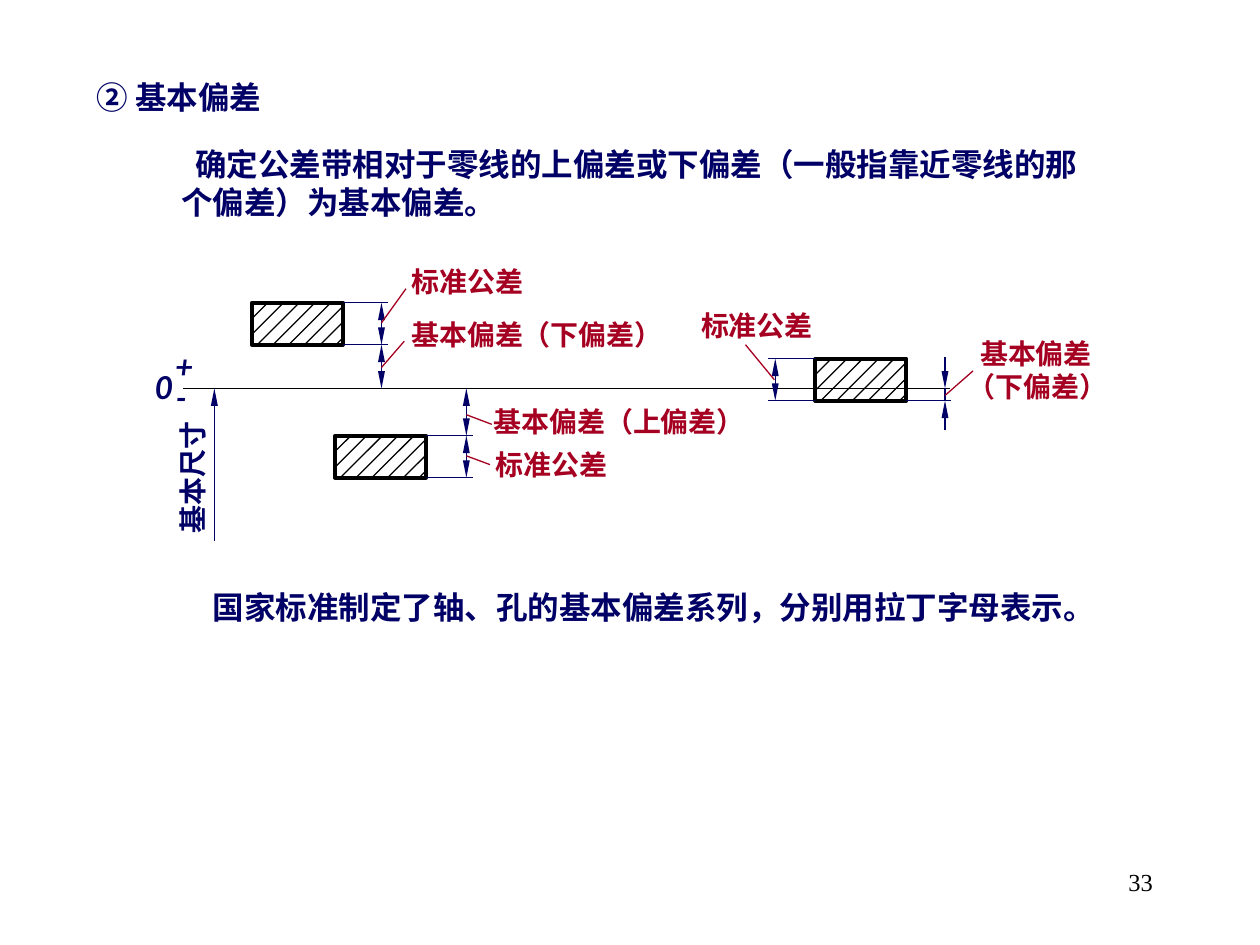
from pptx import Presentation
from pptx.dml.color import RGBColor
from pptx.enum.shapes import MSO_CONNECTOR, MSO_SHAPE
from pptx.enum.text import MSO_AUTO_SIZE, PP_ALIGN
from pptx.oxml.ns import qn
from pptx.util import Pt
from lxml.etree import SubElement

NAVY, RED, BLACK = "000066", "A50021", "000000"
HAN = "Noto Sans CJK SC"
WIDE, HIGH, STEP = 52, 24, 9  # tolerance zone and its hatch pitch
ZERO = 222  # height of the zero line

BODY = dict(name=HAN, size=Pt(18), bold=True)
SIGN = dict(name="Lato", size=Pt(18), bold=True, italic=True)
SIZE = dict(name="Lato", size=Pt(16), bold=True)
LABEL = dict(name="Arial", size=Pt(16), bold=True)
PAGE = dict(name="Times New Roman", size=Pt(14))


def paint(color):
    return RGBColor.from_string(color)


def add_text(slide, text, box, form, color=NAVY, indent=0, align=PP_ALIGN.LEFT):
    """Add a text box; indent moves the first line of its first paragraph."""
    shape = slide.shapes.add_textbox(*map(Pt, box))
    frame = shape.text_frame
    frame.word_wrap = True
    frame.auto_size = MSO_AUTO_SIZE.NONE
    frame.text = text
    for para in frame.paragraphs:
        para.alignment = align
        for run in para.runs:
            for key, value in form.items():
                setattr(run.font, key, value)
            run.font.color.rgb = paint(color)
            SubElement(run.font._element, qn("a:ea"), typeface=HAN)
    if indent:
        frame.paragraphs[0]._p.get_or_add_pPr().set("indent", str(Pt(indent)))
    return shape


def add_line(slide, start, end, color=NAVY, heads=()):
    """Add a thin line; heads names its arrow ends, headEnd before tailEnd."""
    line = slide.shapes.add_connector(
        MSO_CONNECTOR.STRAIGHT, *map(Pt, (*start, *end)))
    line.line.width = Pt(0.75)
    line.line.color.rgb = paint(color)
    for head in heads:
        SubElement(line.line._get_or_add_ln(), qn("a:" + head),
                   type="triangle", w="sm", len="lg")
    SubElement(line._element.spPr, qn("a:effectLst"))


def add_span(slide, x, top, foot):
    add_line(slide, (x, top), (x, foot), heads=("headEnd", "tailEnd"))


def add_zone(slide, left, top):
    """Add a hatched tolerance zone."""
    rect = slide.shapes.add_shape(
        MSO_SHAPE.RECTANGLE, *map(Pt, (left, top, WIDE, HIGH)))
    rect.shadow.inherit = False
    rect.fill.background()
    rect.line.width = Pt(2.25)
    rect.line.color.rgb = paint(BLACK)
    for total in range(STEP, WIDE + HIGH, STEP):
        right, foot = min(total, WIDE), min(total, HIGH)
        add_line(slide, (left + right, top + total - right),
                 (left + total - foot, top + foot), BLACK)


def add_edges(slide, start, end, top):
    """Extend both horizontal edges of a zone."""
    for y in (top, top + HIGH):
        add_line(slide, (start, y), (end, y))


def main():
    deck = Presentation()
    deck.slide_width, deck.slide_height = Pt(720), Pt(540)
    slide = deck.slides.add_slide(deck.slide_layouts[6])

    add_text(slide, "② 基本偏差", (48, 41, 178, 29), BODY)
    add_text(slide, "确定公差带相对于零线的上偏差或下偏差（一般指靠近零线的那个偏差）为基本偏差。",
             (96.5, 79.5, 542, 50), BODY, indent=8)

    add_line(slide, (104.5, ZERO), (543, ZERO), BLACK)
    for sign, left, top in (("+", 93, 195), ("-", 93.5, 212.5), ("0", 81.5, 207)):
        add_text(slide, sign, (left, top, 56, 29), SIGN)
    add_line(slide, (122.5, 309), (122.5, ZERO), heads=("tailEnd",))
    add_text(slide, "基本尺寸", (50.5, 239, 119, 27), SIZE).rotation = 270

    for left, top in ((144, 173), (191.5, 249), (466, 205)):
        add_zone(slide, left, top)

    add_edges(slide, 196, 221.5, 173)
    add_span(slide, 218, 173, 197)
    add_span(slide, 218, 197, ZERO)

    add_edges(slide, 243.5, 270, 249)
    add_span(slide, 266.5, ZERO, 249)
    add_span(slide, 266.5, 249, 273)

    add_edges(slide, 439, 466, 205)
    add_span(slide, 443, 205, 229)
    add_line(slide, (518, 229), (543.5, 229))
    add_line(slide, (540, ZERO), (540, 229))
    for start, end in ((204, ZERO), (246, 229)):
        add_line(slide, (540, start), (540, end), heads=("tailEnd",))

    labels = (
        ("标准公差", (228, 147.5, 103, 27), (218, 184.5), (232, 165)),
        ("基本偏差（下偏差）", (228, 178, 179, 27), (218, 210), (231, 195)),
        ("基本偏差（上偏差）", (275, 227.5, 179, 27), (266.5, 237), (281, 242.5)),
        ("标准公差", (276, 252, 103, 27), (266.5, 260.5), (280, 265.5)),
        ("标准公差", (393.5, 173, 120, 27), (442.5, 217), (426, 197)),
        ("基本偏差\n（下偏差）", (546, 188.5, 124, 46), (540, 226), (556, 212)),
    )
    for text, box, start, end in labels:
        add_line(slide, start, end, RED)
        add_text(slide, text, box, LABEL, RED, indent=7 if "\n" in text else 0)

    add_text(slide, "国家标准制定了轴、孔的基本偏差系列，分别用拉丁字母表示。",
             (114.5, 332.5, 577, 29), BODY)
    add_text(slide, "33", (516, 492, 150, 36), PAGE, BLACK, align=PP_ALIGN.RIGHT)
    deck.save("out.pptx")


if __name__ == "__main__":
    main()
